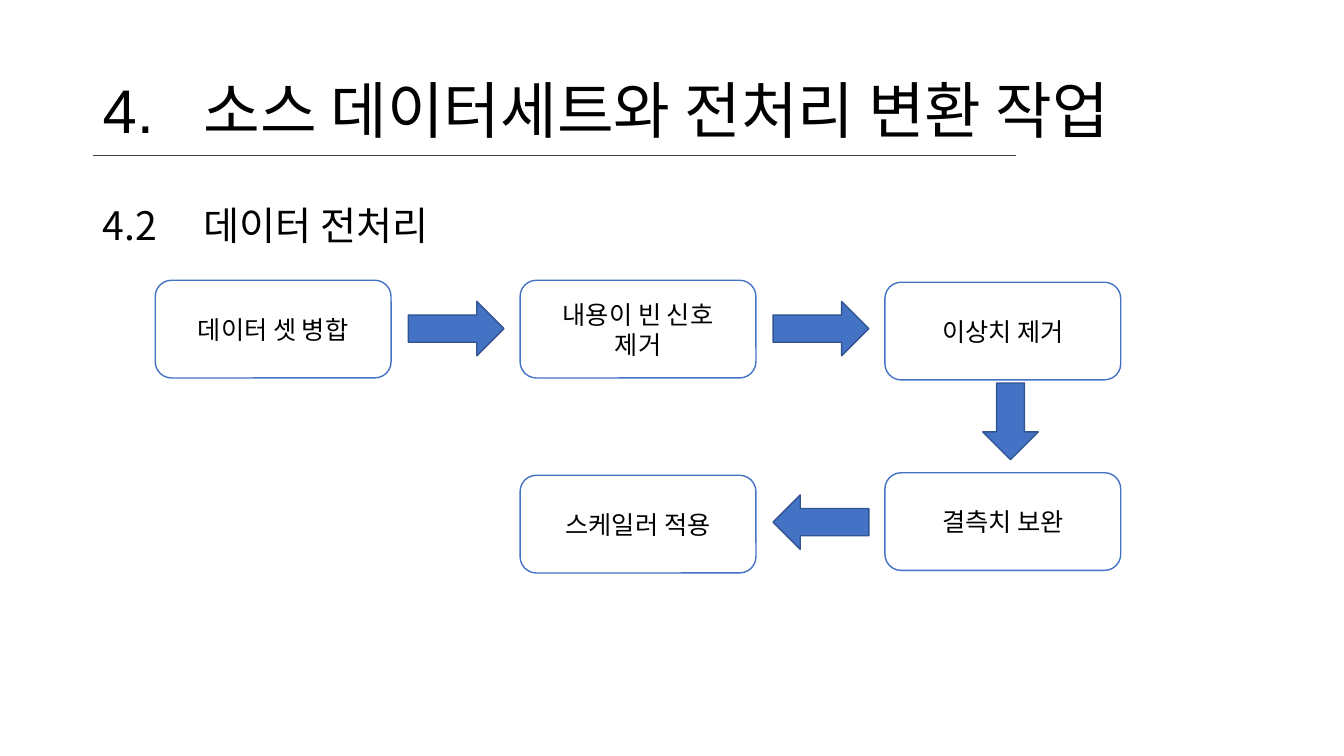
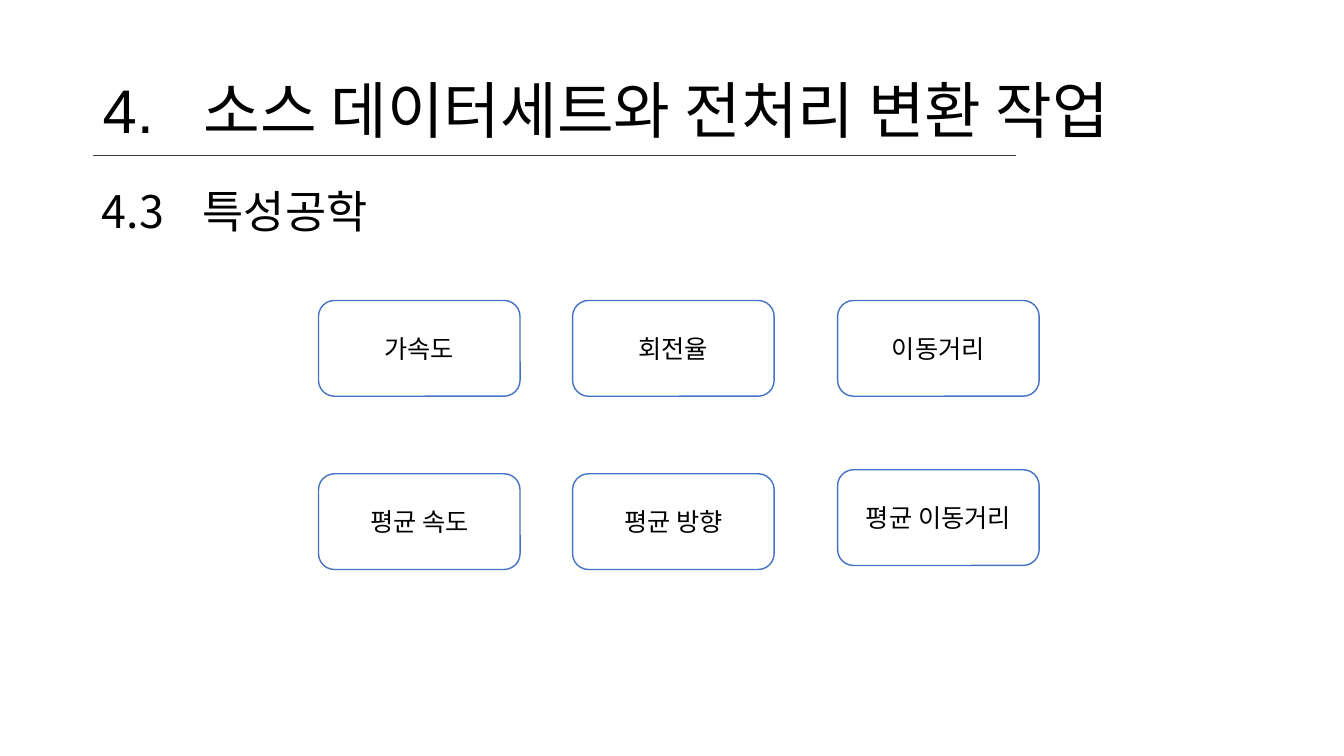
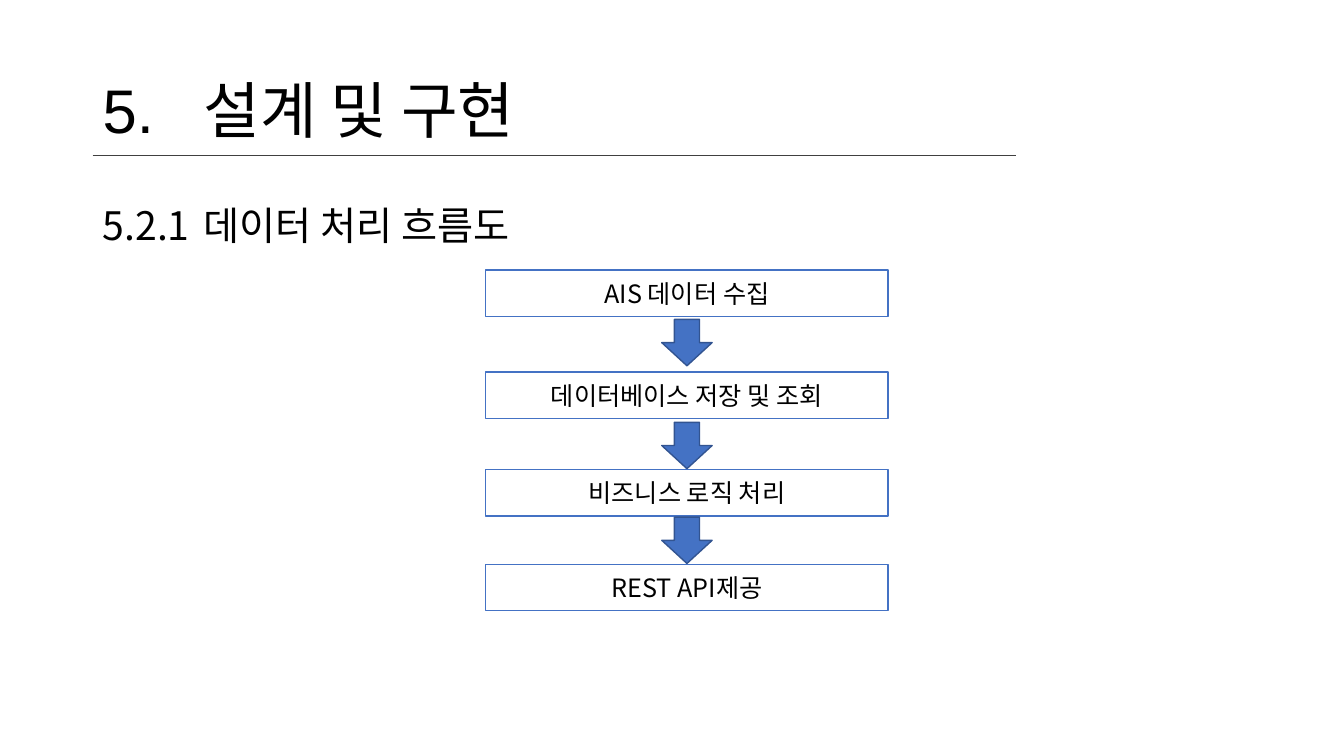
from pptx import Presentation
from pptx.dml.color import RGBColor
from pptx.enum import shapes, text
from pptx.oxml import ns
from pptx.util import Pt
from lxml import etree

COLOURS = {"text": "000000", "paper": "FFFFFF", "accent": "4472C4",
           "arrow_edge": "325491", "rule": "404040"}
LATIN, KOREAN = "Arial", "Noto Sans CJK KR"
SHAPE = shapes.MSO_SHAPE


def colour(name):
    return RGBColor.from_string(COLOURS[name])


class Deck:
    """Holds the style, the presentation and the current slide."""

    def __init__(self):
        self.prs = Presentation()
        self.prs.slide_width, self.prs.slide_height = Pt(960), Pt(540)

    def style(self, paragraph, size, align, font=KOREAN):
        paragraph.alignment = align
        for run in paragraph.runs:
            run.font.size = Pt(size)
            run.font.name = font
            run.font.color.rgb = colour("text")
            etree.SubElement(run.font._element, ns.qn("a:ea"), typeface=KOREAN)

    def place(self, item, left, top, width, height):
        item.left, item.top = Pt(left), Pt(top)
        item.width, item.height = Pt(width), Pt(height)

    def heading(self, holder, number, words, tab, size, font=KOREAN,
                align=text.PP_ALIGN.LEFT, spacing=0.9):
        """Fill a placeholder with a number and, at a tab stop, its words."""
        frame = holder.text_frame
        frame.text = f"{number}\t{words}"
        frame.auto_size = text.MSO_AUTO_SIZE.NONE
        paragraph = frame.paragraphs[0]
        paragraph.line_spacing = spacing
        paragraph.space_before = Pt(0)
        props = paragraph._p.get_or_add_pPr()
        props.set("marL", "0")
        props.set("indent", "0")
        etree.SubElement(props, ns.qn("a:buNone"))
        stops = etree.SubElement(props, ns.qn("a:tabLst"))
        etree.SubElement(stops, ns.qn("a:tab"), pos=str(Pt(tab)), algn="l")
        self.style(paragraph, size, align, font)

    def new_slide(self, number, words):
        self.slide = self.prs.slides.add_slide(self.prs.slide_layouts[1])
        title = self.slide.shapes.title
        self.place(title, 66.2, 28.8, 828, 104.4)
        title.text_frame.vertical_anchor = text.MSO_ANCHOR.MIDDLE
        self.heading(title, number, words, 58.7, 44, LATIN)
        rule = self.slide.shapes.add_connector(
            shapes.MSO_CONNECTOR.STRAIGHT, Pt(66.2), Pt(110.9), Pt(725.8), Pt(110.9))
        rule.line.color.rgb = colour("rule")
        rule.line.width = Pt(0.5)
        etree.SubElement(rule._element.spPr, ns.qn("a:effectLst"))

    def section(self, number, words, tab, left=66.2, top=144, height=342.7,
                size=28, **options):
        body = self.slide.placeholders[1]
        self.place(body, left, top, 828, height)
        self.heading(body, number, words, tab, size, **options)

    def shape(self, kind, at, fill, edge):
        item = self.slide.shapes.add_shape(kind, *map(Pt, at))
        item.shadow.inherit = False
        item.fill.solid()
        item.fill.fore_color.rgb = colour(fill)
        item.line.color.rgb = colour(edge)
        item.line.width = Pt(1)
        return item

    def box(self, label, *at, kind=SHAPE.ROUNDED_RECTANGLE):
        frame = self.shape(kind, at, "paper", "accent").text_frame
        frame.text = label
        frame.word_wrap = True
        frame.vertical_anchor = text.MSO_ANCHOR.MIDDLE
        for paragraph in frame.paragraphs:
            self.style(paragraph, 18, text.PP_ALIGN.CENTER)

    def arrow(self, kind, *at, rotation=0):
        self.shape(kind, at, "accent", "arrow_edge").rotation = rotation


def preprocessing(deck):
    deck.new_slide("4.", "소스 데이터세트와 전처리 변환 작업")
    deck.section("4.2", "데이터 전처리", 50.5)
    step = 260.6
    for column, top, label in [(0, 200.2, "데이터 셋 병합"),
                               (1, 200.2, "내용이 빈 신호\n제거"),
                               (2, 201.6, "이상치 제거"),
                               (2, 337.7, "결측치 보완"),
                               (1, 339.5, "스케일러 적용")]:
        deck.box(label, 110.9 + column * step, top, 168.5, 69.8)
    for column, top, rotation in [(0, 215.3, 0), (1, 215.3, 0), (1, 353.5, 180)]:
        deck.arrow(SHAPE.RIGHT_ARROW, 291.6 + column * step, top, 68.4, 38.9,
                   rotation=rotation)
    deck.arrow(SHAPE.DOWN_ARROW, 702, 273.6, 39.6, 54.7)


def features(deck):
    deck.new_slide("4.", "소스 데이터세트와 전처리 변환 작업")
    deck.section("4.3", "특성공학", 58, left=65.5, top=124.6, height=362.9,
                 size=32, align=text.PP_ALIGN.JUSTIFY, spacing=1.07)
    for left, upper, lower, lower_top in [(227.5, "가속도", "평균 속도", 338.4),
                                          (409, "회전율", "평균 방향", 338.4),
                                          (598.3, "이동거리", "평균 이동거리", 335.5)]:
        deck.box(upper, left, 214.6, 144, 68.4)
        deck.box(lower, left, lower_top, 144, 68.4)


def data_flow(deck):
    deck.new_slide("5.", "설계 및 구현")
    deck.section("5.2.1", "데이터 처리 흐름도", 74, height=384.5)
    for top, label in [(193, "AIS 데이터 수집"), (265.7, "데이터베이스 저장 및 조회"),
                       (335.5, "비즈니스 로직 처리"), (403.2, "REST API제공")]:
        deck.box(label, 347, top, 287.3, 33.1, kind=SHAPE.RECTANGLE)
    for top in (228.2, 301.7, 369.4):
        deck.arrow(SHAPE.DOWN_ARROW, 472.7, top, 36, 33.1)


def main():
    deck = Deck()
    for build in (preprocessing, features, data_flow):
        build(deck)
    deck.prs.save("out.pptx")


if __name__ == "__main__":
    main()
